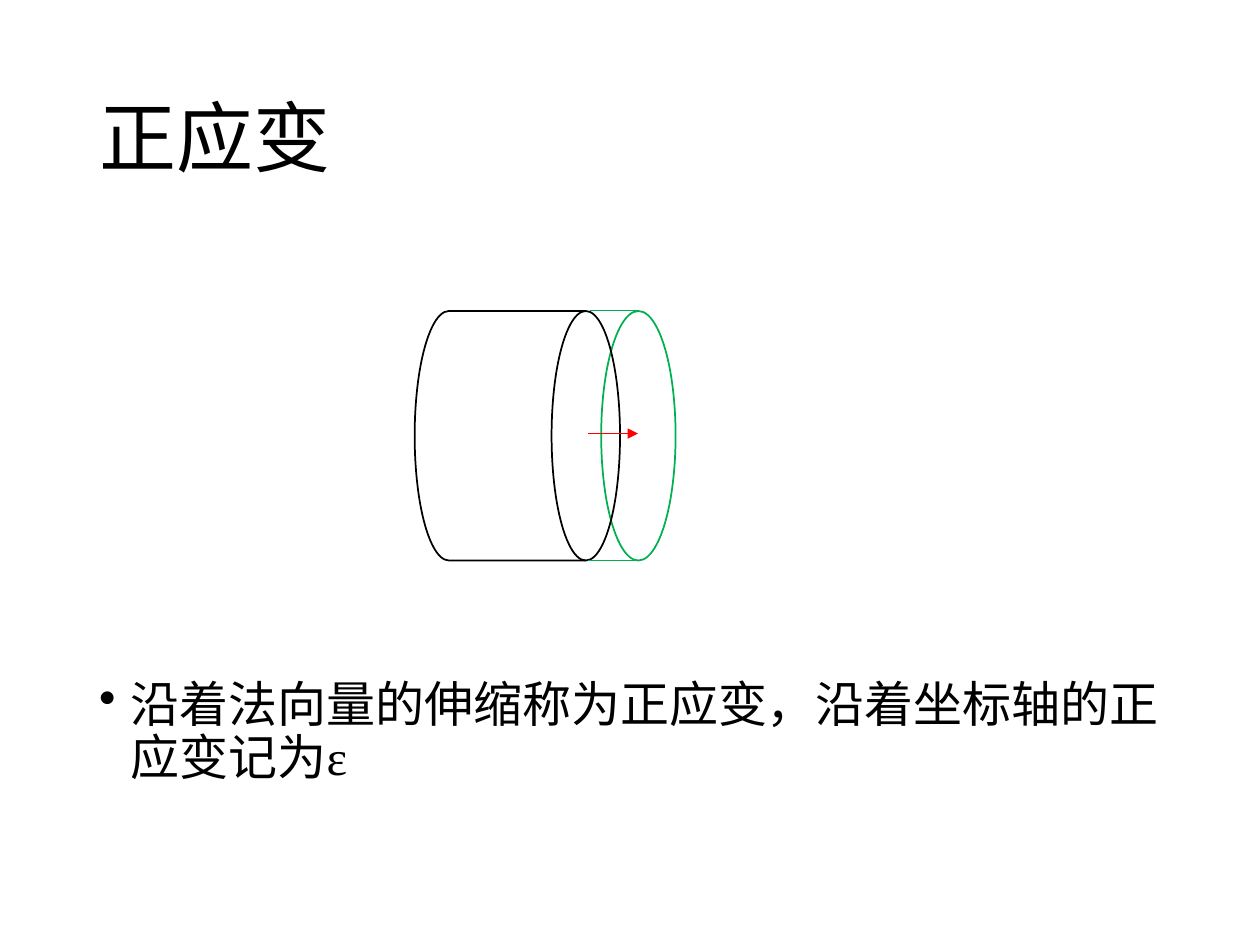
import pptx
import pptx.dml.color
import pptx.enum.shapes
import pptx.enum.text
import pptx.oxml.ns
import pptx.util
from lxml import etree
from pptx.util import Cm

BLACK = pptx.dml.color.RGBColor(0x00, 0x00, 0x00)
GREEN = pptx.dml.color.RGBColor(0x00, 0xB0, 0x50)
RED = pptx.dml.color.RGBColor(0xFF, 0x00, 0x00)
CHINESE_FONT = "Noto Sans CJK SC"
LATIN_FONT = "Times New Roman"
SHAPES = pptx.enum.shapes.MSO_SHAPE
ANCHORS = pptx.enum.text.MSO_ANCHOR


def add_element(parent, tag, **attributes):
    return etree.SubElement(parent, pptx.oxml.ns.qn(tag), attributes)


def add_text(slide, text, top, height, size, latin_font, anchor, bullet=False):
    box = slide.shapes.add_textbox(Cm(1.75), Cm(top), Cm(21.89), Cm(height))
    frame = box.text_frame
    frame.word_wrap = True
    frame.vertical_anchor = anchor
    paragraph = frame.paragraphs[0]
    if bullet:
        indent = Cm(0.64)
        properties = paragraph._p.get_or_add_pPr()
        properties.set("marL", str(indent))
        properties.set("indent", str(-indent))
        add_element(properties, "a:buChar", char="•")
    paragraph.line_spacing = 0.9
    run = paragraph.add_run()
    run.text = text
    run.font.size = pptx.util.Pt(size)
    run.font.color.rgb = BLACK
    run.font.name = latin_font
    add_element(run._r.get_or_add_rPr(), "a:ea", typeface=CHINESE_FONT)


def add_outline(slide, kind, left, width, color):
    shape = slide.shapes.add_shape(kind, Cm(left), Cm(6.27), Cm(width), Cm(5.03))
    shape.shadow.inherit = False
    shape.fill.background()
    shape.line.color.rgb = color
    shape.line.width = pptx.util.Pt(1)


def add_horizontal_line(slide, left, top, color, arrow=False):
    connector = slide.shapes.add_connector(
        pptx.enum.shapes.MSO_CONNECTOR.STRAIGHT,
        Cm(left), Cm(top), Cm(left + 1), Cm(top))
    connector.line.color.rgb = color
    connector.line.width = pptx.util.Pt(0.5)
    if arrow:
        add_element(connector.line._get_or_add_ln(), "a:tailEnd", type="triangle")
    add_element(connector._element.spPr, "a:effectLst")


def main():
    presentation = pptx.Presentation()
    presentation.slide_width = Cm(25.4)
    presentation.slide_height = Cm(19.05)
    slide = presentation.slides.add_slide(presentation.slide_layouts[6])

    # Stretched end face, behind the cylinder
    add_outline(slide, SHAPES.OVAL, 12.12, 1.5, GREEN)

    # Title and explanation
    add_text(slide, "正应变", 1.02, 3.68, 44, CHINESE_FONT, ANCHORS.MIDDLE)
    add_text(slide, "沿着法向量的伸缩称为正应变，沿着坐标轴的正应变记为ε",
             13.59, 3.58, 28, LATIN_FONT, ANCHORS.TOP, bullet=True)

    # Cylinder before stretching
    add_outline(slide, SHAPES.FLOWCHART_DIRECT_ACCESS_STORAGE, 8.36, 4.14, BLACK)

    # Normal displacement and the stretched edges
    add_horizontal_line(slide, 11.86, 8.74, RED, arrow=True)
    add_horizontal_line(slide, 11.89, 6.25, GREEN)
    add_horizontal_line(slide, 11.86, 11.3, GREEN)

    presentation.save("out.pptx")


if __name__ == "__main__":
    main()
